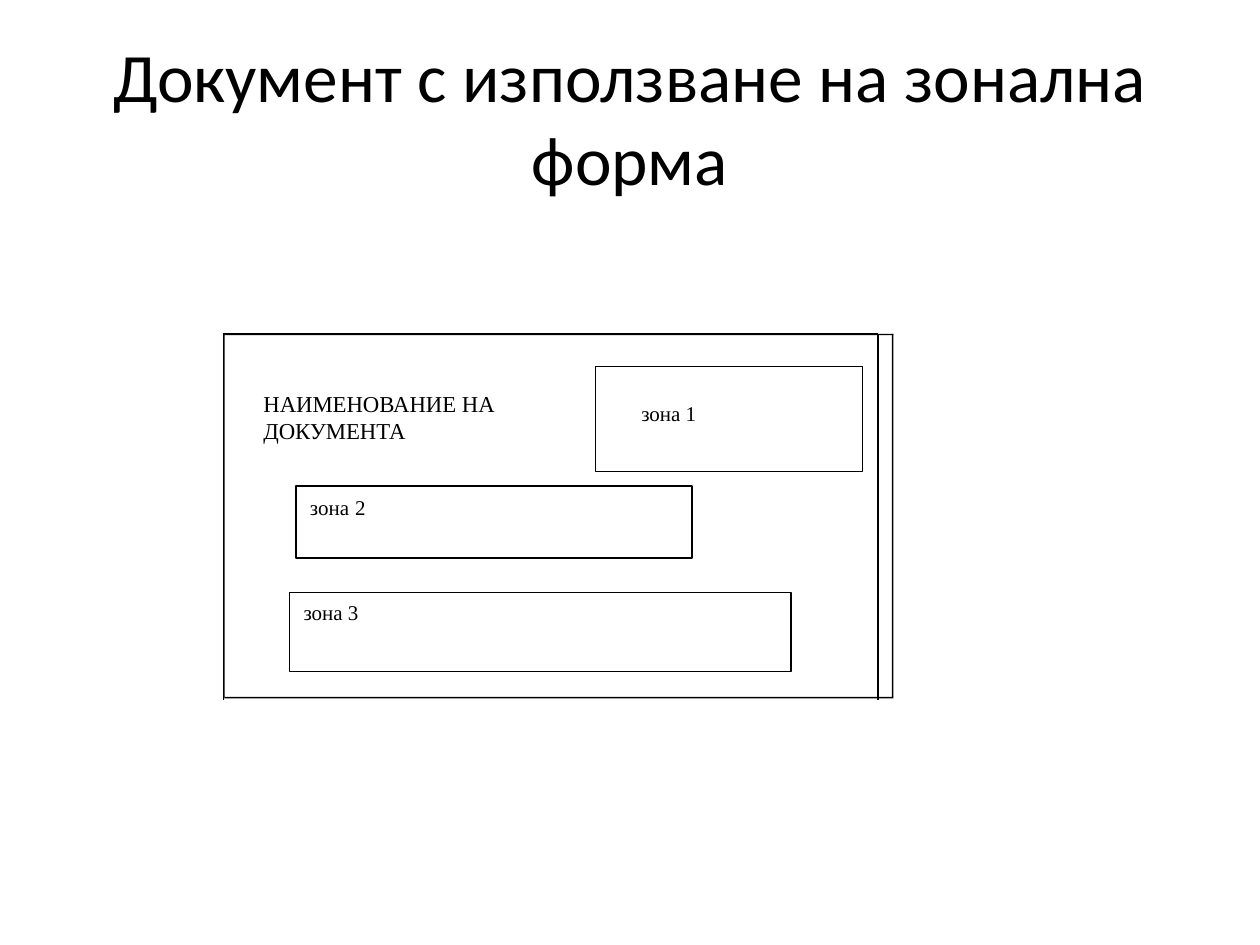
from lxml import etree
from pptx import Presentation
from pptx.dml.color import RGBColor
from pptx.enum.shapes import MSO_CONNECTOR, MSO_SHAPE
from pptx.enum.text import MSO_ANCHOR, MSO_AUTO_SIZE, PP_ALIGN
from pptx.oxml.ns import qn
from pptx.util import Cm, Pt

BLACK, WHITE = "000000", "FFFFFF"

presentation = Presentation()
presentation.slide_width = Cm(25.4)
presentation.slide_height = Cm(19.05)
slide = presentation.slides.add_slide(presentation.slide_layouts[6])


def add_rectangle(left, top, width, height, fill=None, line=None):
    shape = slide.shapes.add_shape(
        MSO_SHAPE.RECTANGLE, Cm(left), Cm(top), Cm(width), Cm(height))
    shape.shadow.inherit = False
    if fill:
        shape.fill.solid()
        shape.fill.fore_color.rgb = RGBColor.from_string(fill)
    else:
        shape.fill.background()
    if line:
        shape.line.color.rgb = RGBColor.from_string(line)
        shape.line.width = Pt(0.75)
    else:
        shape.line.fill.background()


def add_text(text, left, top, width, height, size, font="Times New Roman", wrap=True):
    shape = slide.shapes.add_textbox(Cm(left), Cm(top), Cm(width), Cm(height))
    frame = shape.text_frame
    frame.margin_left = frame.margin_top = frame.margin_right = frame.margin_bottom = 0
    frame.word_wrap = wrap
    frame.auto_size = MSO_AUTO_SIZE.SHAPE_TO_FIT_TEXT
    paragraph = frame.paragraphs[0]
    paragraph.text = text
    paragraph.font.size = Pt(size)
    paragraph.font.name = font
    paragraph.font.color.rgb = RGBColor.from_string(BLACK)
    return frame


title = add_text("Документ с използване на зонална форма",
                 1.27, 0.76, 22.86, 3.18, 39.6, "Calibri")
title.auto_size = MSO_AUTO_SIZE.NONE
title.margin_left = title.margin_right = Cm(0.25)
title.margin_top = title.margin_bottom = Cm(0.13)
title.vertical_anchor = MSO_ANCHOR.MIDDLE
title.paragraphs[0].alignment = PP_ALIGN.CENTER

# Page outline, open at the bottom
left, top, right, bottom = 4.5, 6.73, 17.7, 14.12
for x1, y1, x2, y2 in [(left, top, left, bottom),
                       (left, top, right, top),
                       (right, top, right, bottom)]:
    connector = slide.shapes.add_connector(
        MSO_CONNECTOR.STRAIGHT, Cm(x1), Cm(y1), Cm(x2), Cm(y2))
    connector.line.color.rgb = RGBColor.from_string(BLACK)
    connector.line.width = Pt(0.75)
    etree.SubElement(connector._element.spPr, qn("a:effectLst"))

add_text("НАИМЕНОВАНИЕ НА ДОКУМЕНТА", 5.31, 7.85, 6.32, 1.12, 13)

# Document frame: thin bars with a small square at each corner
bar = 0.03
frame_right, frame_bottom = 17.98, 14.05
for y in (top, frame_bottom):
    add_rectangle(left + bar, y, frame_right - left - bar, bar, fill=BLACK)
    for x in (left, frame_right):
        add_rectangle(x, y, bar, bar, fill=BLACK)
for x in (left, frame_right):
    add_rectangle(x, top, bar, frame_bottom - top, fill=BLACK)

# Each zone: background, outline, labels (text, left, top, width, height, wrap)
zone_2 = (5.97, 9.8, 7.98, 1.45)
zone_3 = (5.84, 11.94, 10.11, 1.6)
zones = [
    ((13.23, 7.82, 4.17, 2.11), (12.01, 7.39, 5.38, 2.11),
     [("зона 1", 12.93, 8.08, 2.06, 0.51, True)]),
    (zone_2, zone_2, [("зона", 6.25, 9.96, 1.09, 0.58, False),
                      ("2", 7.16, 9.96, 0.38, 0.58, False)]),
    (zone_3, zone_3, [("зона 3", 6.12, 12.09, 1.3, 0.58, False)]),
]
for background, outline, labels in zones:
    add_rectangle(*background, fill=WHITE)
    add_rectangle(*outline, line=BLACK)
    for text, x, y, width, height, wrap in labels:
        add_text(text, x, y, width, height, 12, wrap=wrap)

presentation.save("out.pptx")
